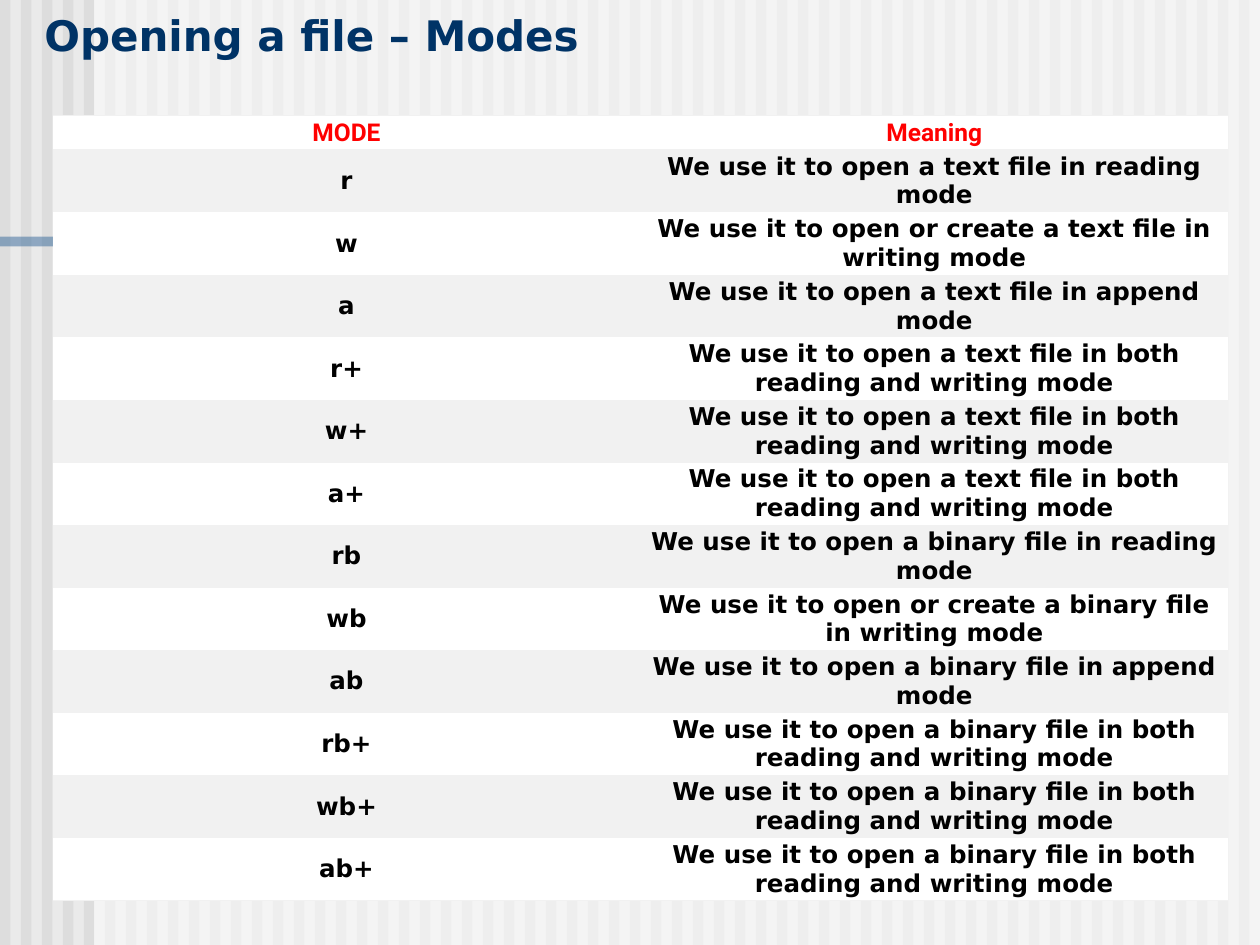
from dataclasses import dataclass

from lxml import etree
from pptx import Presentation
from pptx.dml.color import RGBColor
from pptx.enum.shapes import MSO_SHAPE
from pptx.enum.text import MSO_ANCHOR, PP_ALIGN
from pptx.oxml.ns import qn
from pptx.util import Cm, Pt

RECTANGLE = MSO_SHAPE.RECTANGLE
TOP, MIDDLE = MSO_ANCHOR.TOP, MSO_ANCHOR.MIDDLE
LEFT, CENTER = PP_ALIGN.LEFT, PP_ALIGN.CENTER
TITLE_ONLY_LAYOUT = 5
PLAIN_TABLE_STYLE = "{2D5ABB26-0587-4C30-8999-92F81FD0307C}"


@dataclass(frozen=True)
class Theme:
    background: str = "EAEAEA"
    stripe: str = "DDDDDD"
    veil: str = "FFFFFF"
    accent: str = "336699"
    title: str = "003366"
    header: str = "FF0000"
    body: str = "000000"
    row: str = "FFFFFF"
    band: str = "F1F1F1"
    font: str = "DejaVu Sans"
    header_font: str = "Roboto"
    title_size: int = 24
    table_size: int = 14
    border_width: float = 0.75


THEME = Theme()

MODES = [
    ("r", "open a text file in reading mode"),
    ("w", "open or create a text file in writing mode"),
    ("a", "open a text file in append mode"),
    ("r+", "open a text file in both reading and writing mode"),
    ("w+", "open a text file in both reading and writing mode"),
    ("a+", "open a text file in both reading and writing mode"),
    ("rb", "open a binary file in reading mode"),
    ("wb", "open or create a binary file in writing mode"),
    ("ab", "open a binary file in append mode"),
    ("rb+", "open a binary file in both reading and writing mode"),
    ("wb+", "open a binary file in both reading and writing mode"),
    ("ab+", "open a binary file in both reading and writing mode"),
]


def write_text(text_frame, text, *, size, color, font=THEME.font, align=LEFT):
    paragraph = text_frame.paragraphs[0]
    paragraph.alignment = align
    run = paragraph.add_run()
    run.text = text
    run.font.name = font
    run.font.size = Pt(size)
    run.font.bold = True
    run.font.color.rgb = RGBColor.from_string(color)


def add_rectangle(shapes, left, top, width, height, color, opacity=100):
    shape = shapes.add_shape(RECTANGLE, left, top, width, height)
    shape.shadow.inherit = False
    shape.line.fill.background()
    shape.fill.solid()
    shape.fill.fore_color.rgb = RGBColor.from_string(color)
    if opacity < 100:
        color_element = shape.fill._xPr.find(".//" + qn("a:srgbClr"))
        etree.SubElement(color_element, qn("a:alpha"), val=str(opacity * 1000))


def add_backdrop(slide, left, top, width, height):
    slide.background.fill.solid()
    slide.background.fill.fore_color.rgb = RGBColor.from_string(THEME.background)
    shapes = slide.shapes.add_group_shape().shapes
    stripe_count = 60
    pitch = width / stripe_count
    for index in range(stripe_count):
        add_rectangle(shapes, left + round(index * pitch), top,
                      round(pitch / 2), height, THEME.stripe)
    veil_offset = Cm(1.9)
    add_rectangle(shapes, left + veil_offset, top, width - veil_offset, height,
                  THEME.veil, opacity=50)
    add_rectangle(shapes, left, top + Cm(4.77), Cm(19.3), Cm(0.2),
                  THEME.accent, opacity=50)


def place_title(slide, left, top, width, height):
    title = slide.shapes.title
    title.left, title.top, title.width, title.height = left, top, width, height
    text_frame = title.text_frame
    text_frame.word_wrap = True
    text_frame.vertical_anchor = TOP
    text_frame.margin_top = Cm(0.2)
    write_text(text_frame, "Opening a file – Modes",
               size=THEME.title_size, color=THEME.title)
    slide.shapes._spTree.append(title._element)


def add_border(cell, edge, position=0):
    line = etree.Element(qn(f"a:ln{edge}"), w=str(Pt(THEME.border_width)))
    fill = etree.SubElement(line, qn("a:solidFill"))
    etree.SubElement(fill, qn("a:srgbClr"), val=THEME.band)
    cell._tc.get_or_add_tcPr().insert(position, line)


def fill_cell(cell, text, fill, **text_format):
    cell.fill.solid()
    cell.fill.fore_color.rgb = RGBColor.from_string(fill)
    cell.vertical_anchor = MIDDLE
    cell.margin_left = cell.margin_right = Cm(0.05)
    cell.margin_top = cell.margin_bottom = Cm(0.05)
    write_text(cell.text_frame, text, size=THEME.table_size, align=CENTER,
               **text_format)


def add_mode_table(slide, left, top, width, height):
    rows = [("MODE", "Meaning")]
    rows += [(mode, f"We use it to {purpose}") for mode, purpose in MODES]
    frame = slide.shapes.add_table(len(rows), 2, left, top, width, height)
    table = frame.table
    table.first_row = table.horz_banding = False
    table._tbl.find(".//" + qn("a:tableStyleId")).text = PLAIN_TABLE_STYLE
    header_height = Cm(0.69)
    body_height = round((height - header_height) / len(MODES))
    for row_index, texts in enumerate(rows):
        is_header = row_index == 0
        table.rows[row_index].height = header_height if is_header else body_height
        fill = THEME.band if row_index % 2 else THEME.row
        color = THEME.header if is_header else THEME.body
        font = THEME.header_font if is_header else THEME.font
        for column_index, text in enumerate(texts):
            fill_cell(table.cell(row_index, column_index), text, fill,
                      color=color, font=font)
    for column_index in range(2):
        header = table.cell(0, column_index)
        add_border(header, "T")
        add_border(header, "B", position=1)
        add_border(table.cell(len(MODES), column_index), "B")


def main():
    presentation = Presentation()
    presentation.slide_width = Cm(25.4)
    presentation.slide_height = Cm(19.05)
    layout = presentation.slide_layouts[TITLE_ONLY_LAYOUT]
    slide = presentation.slides.add_slide(layout)
    add_backdrop(slide, 0, 0, presentation.slide_width, presentation.slide_height)
    place_title(slide, Cm(0.64), 0, Cm(22.68), Cm(2.3))
    add_mode_table(slide, Cm(1.06), Cm(2.33), Cm(23.7), Cm(15.74))
    presentation.save("out.pptx")


if __name__ == "__main__":
    main()
